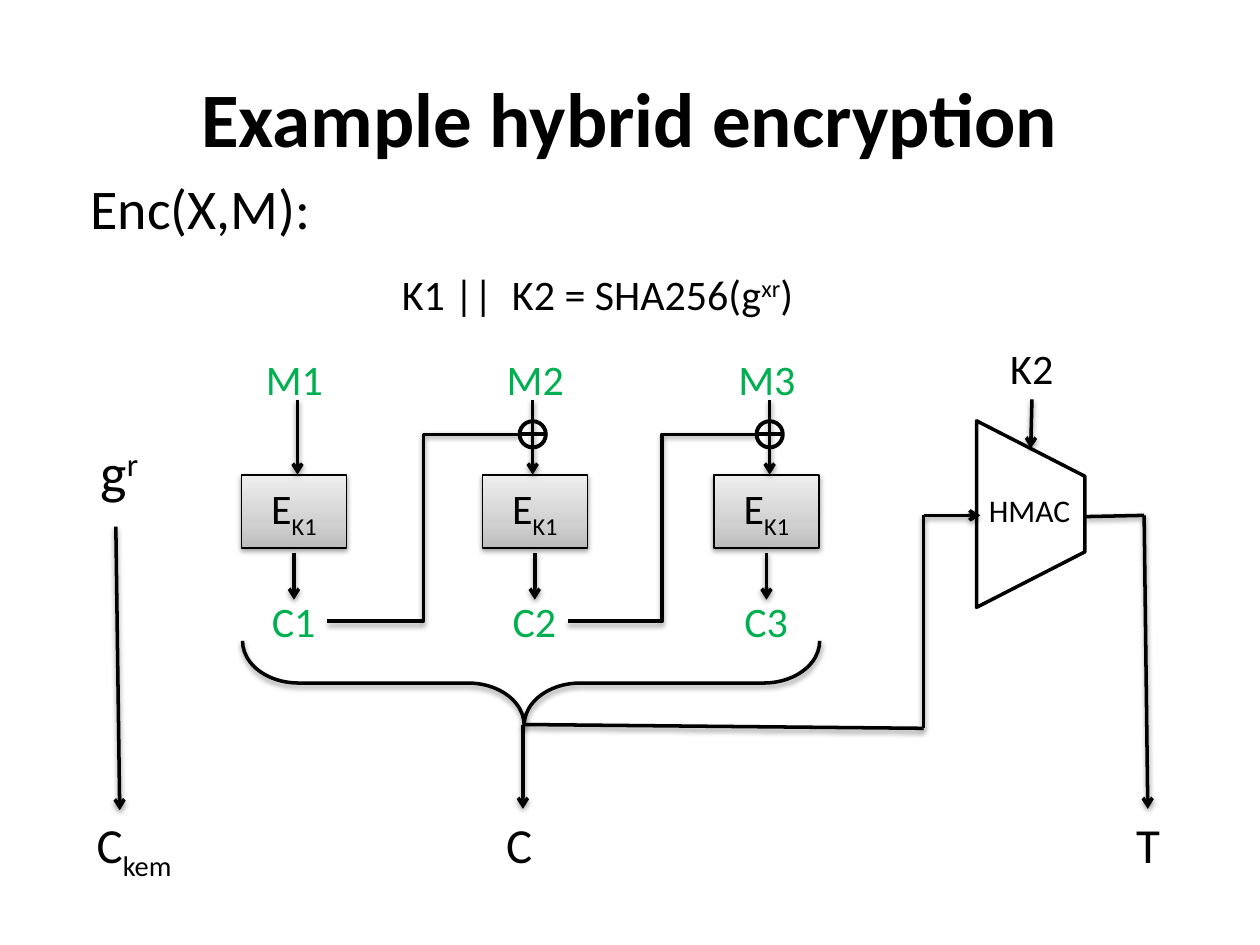
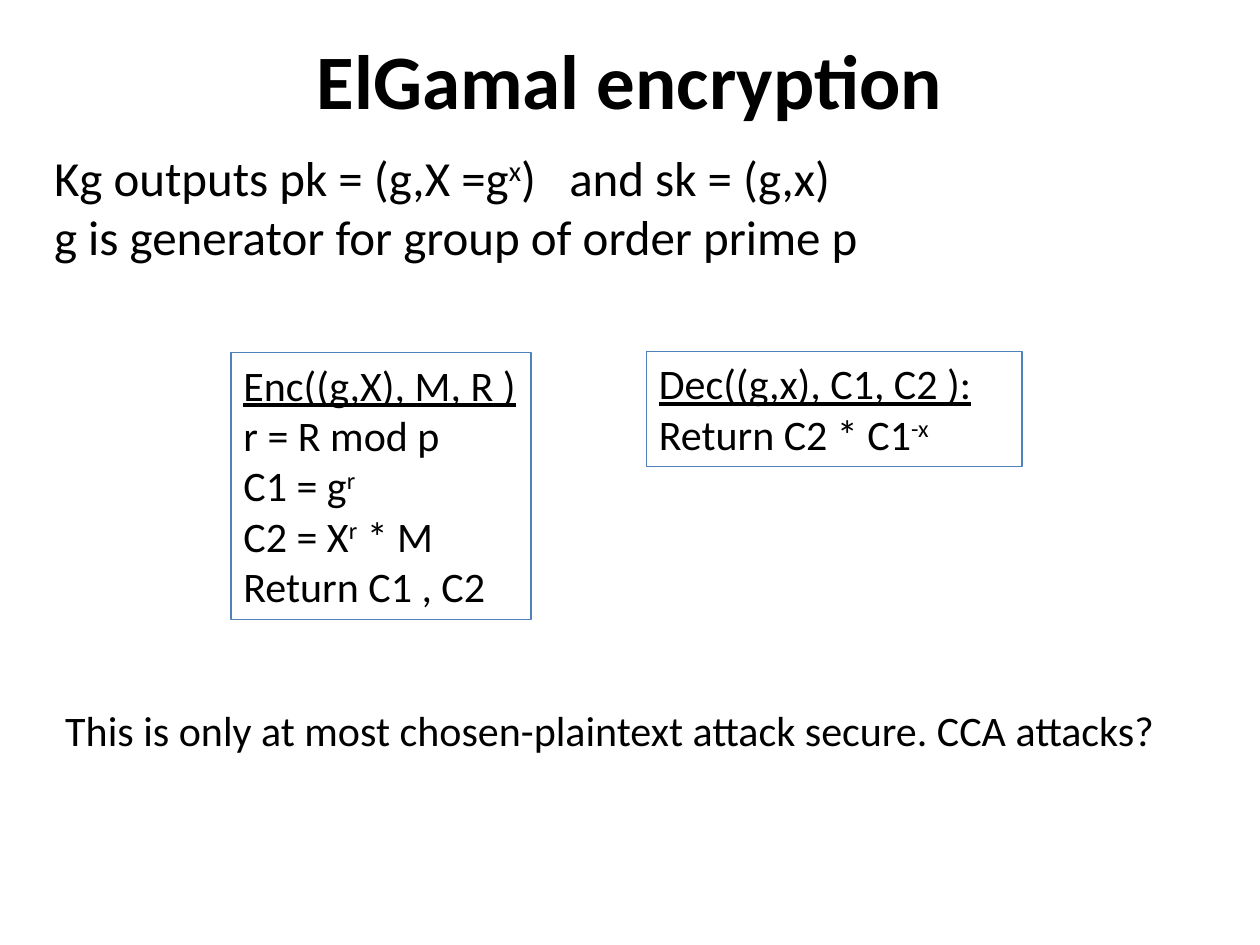
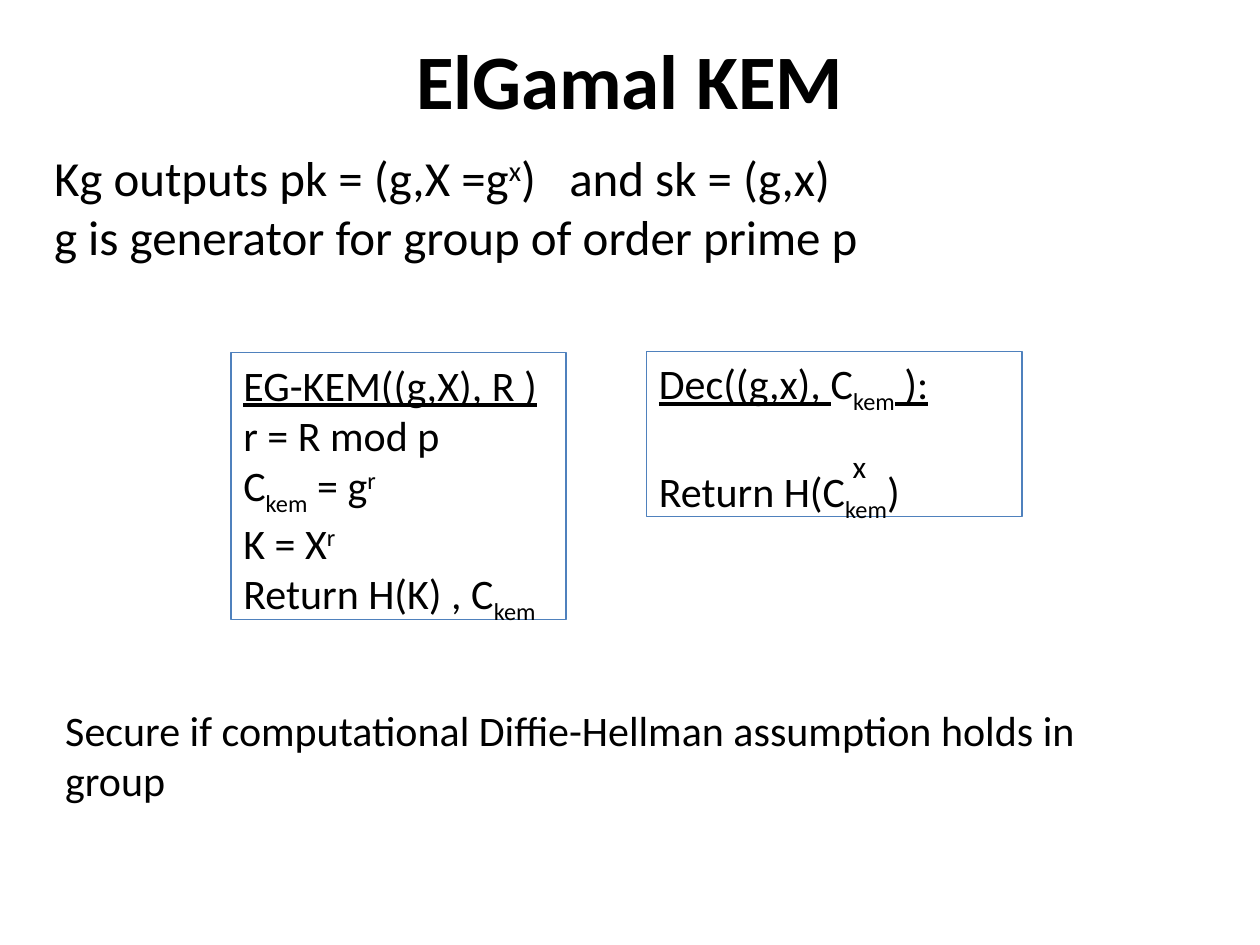
from copy import deepcopy
from dataclasses import dataclass

from lxml.etree import SubElement
from pptx import Presentation
from pptx.dml.color import RGBColor
from pptx.enum.shapes import MSO_CONNECTOR, MSO_SHAPE
from pptx.enum.text import MSO_ANCHOR, MSO_AUTO_SIZE, PP_ALIGN
from pptx.oxml.ns import qn
from pptx.util import Pt


@dataclass(frozen=True)
class Theme:
    font: str = "Calibri"
    black: str = "000000"
    white: str = "FFFFFF"
    green: str = "00B050"
    frame: str = "4F81BD"
    cipher_stops: tuple = ((0, "BDBDBD"), (0.35, "D1D1D1"), (1, "EEEEEE"))
    title: int = 44
    heading: int = 32
    large: int = 28
    body: int = 24
    small: int = 18
    line: float = 2
    xor_line: float = 2.25
    thin_line: float = 0.75


THEME = Theme()


def rgb(color):
    return RGBColor.from_string(color)


def sup(text):
    return text, {"baseline": "30000"}


def sub(text):
    return text, {"baseline": "-25000"}


def underlined(text):
    return text, {"u": "sng"}


def write(tf, lines, size=THEME.body, color=THEME.black, bold=False,
          align=PP_ALIGN.LEFT, last_gap=0):
    """Fill a text frame; a line is a string or a list of strings and marked runs."""
    for i, line in enumerate(lines):
        p = tf.paragraphs[0] if i == 0 else tf.add_paragraph()
        p.alignment = align
        for piece in [line] if isinstance(line, str) else line:
            text, marks = (piece, {}) if isinstance(piece, str) else piece
            r = p.add_run()
            r.text = text
            r.font.name = THEME.font
            r.font.size = Pt(size)
            r.font.bold = bold
            r.font.color.rgb = rgb(color)
            for name, value in marks.items():
                r.font._element.set(name, value)
    if last_gap:
        p.space_before = Pt(last_gap)


def set_shadow(sp, cast):
    """Drop the theme's shadow and, if cast, put a soft one below. Call after the line is set."""
    effects = SubElement(sp._element.spPr, qn("a:effectLst"))
    if cast:
        shadow = SubElement(effects, qn("a:outerShdw"), blurRad=str(Pt(3.1)),
                            dist=str(Pt(1.6)), dir="5400000", rotWithShape="0")
        color = SubElement(shadow, qn("a:srgbClr"), val=THEME.black)
        SubElement(color, qn("a:alpha"), val="38000")


def set_line(sp, color=THEME.black, width=THEME.line):
    sp.line.color.rgb = rgb(color)
    sp.line.width = Pt(width)


def add_text(slide, box, lines, wrap=False, frame=None, **fmt):
    sp = slide.shapes.add_textbox(*map(Pt, box))
    tf = sp.text_frame
    tf.word_wrap = wrap
    tf.auto_size = MSO_AUTO_SIZE.SHAPE_TO_FIT_TEXT
    write(tf, lines, **fmt)
    if frame:
        set_line(sp, frame, THEME.thin_line)
    return sp


def add_shape(slide, kind, box, fill=None, width=THEME.line, rotation=0,
              adjustments=(), shadow=False):
    sp = slide.shapes.add_shape(kind, *map(Pt, box))
    sp.rotation = rotation
    for i, value in enumerate(adjustments):
        sp.adjustments[i] = value
    if fill:
        sp.fill.solid()
        sp.fill.fore_color.rgb = rgb(fill)
    else:
        sp.fill.background()
    set_line(sp, width=width)
    set_shadow(sp, shadow)
    return sp


def add_line(slide, start, end, kind=MSO_CONNECTOR.STRAIGHT, arrow=False,
             width=THEME.line, shadow=True):
    sp = slide.shapes.add_connector(kind, *map(Pt, (*start, *end)))
    set_line(sp, width=width)
    if arrow:
        SubElement(sp.line._get_or_add_ln(), qn("a:tailEnd"), type="arrow")
    set_shadow(sp, shadow)


def add_cipher(slide, center):
    sp = add_shape(slide, MSO_SHAPE.RECTANGLE, (center - 30, 271.4, 60, 41.8),
                   width=THEME.thin_line, shadow=True)
    sp.fill.gradient()
    sp.fill.gradient_angle = 90
    stops = sp._element.spPr.find(qn("a:gradFill")).find(qn("a:gsLst"))
    stops.insert(1, deepcopy(stops[0]))
    for stop, (position, color) in zip(sp.fill.gradient_stops, THEME.cipher_stops):
        stop.position = position
        stop.color.rgb = rgb(color)
    sp.text_frame.vertical_anchor = MSO_ANCHOR.MIDDLE
    write(sp.text_frame, [["E", sub("K1")]], align=PP_ALIGN.CENTER)


def add_xor(slide, x, y, radius=7.5):
    add_shape(slide, MSO_SHAPE.OVAL, (x - radius, y - radius, 2 * radius, 2 * radius),
              width=THEME.xor_line)
    add_line(slide, (x - radius, y), (x + radius, y), width=THEME.xor_line, shadow=False)


def add_cbc_chain(slide):
    """Three cipher blocks; each ciphertext feeds the next block's XOR."""
    xor_y, feed_y, radius = 248.2, 355, 7.5
    green = {"color": THEME.green, "align": PP_ALIGN.CENTER}
    previous = None
    for n, (center, input_x) in enumerate([(168, 170), (305.6, 304.4), (438, 439.8)], 1):
        add_cipher(slide, center)
        add_text(slide, (center - 23.5, 198.7, 47.5, 36), [f"M{n}"], **green)
        add_text(slide, (center - 20, 337, 39.6, 36), [f"C{n}"], **green)
        add_line(slide, (input_x, 228.7), (input_x, 271.2), arrow=True)
        add_line(slide, (center, 316), (center, 342.7), arrow=True)
        if previous:
            add_xor(slide, input_x, xor_y, radius)
            add_line(slide, (previous + 19, feed_y), (input_x - radius, xor_y),
                     kind=MSO_CONNECTOR.ELBOW)
        previous = center
    add_shape(slide, MSO_SHAPE.LEFT_BRACE, (279.4, 225.4, 48.2, 329.8), rotation=270,
              adjustments=(0.665, 0.488), shadow=True)


def add_hmac(slide):
    add_shape(slide, MSO_SHAPE.TRAPEZOID, (535.7, 262.8, 106.6, 61.9), fill=THEME.white,
              rotation=90, adjustments=(0.512,))
    add_text(slide, (558, 277.2, 62, 28.8), ["HMAC"], size=THEME.small)
    add_text(slide, (570.2, 192.2, 39.6, 36), ["K2"])
    add_line(slide, (589.7, 228.2), (589, 256.3), arrow=True)

    join, corner, tag_corner = (298.8, 414), (527.8, 416.2), (653.8, 294.5)
    entry = (corner[0], tag_corner[1])
    add_line(slide, corner, join)
    add_line(slide, entry, corner)
    add_line(slide, entry, (560.2, entry[1]), arrow=True)
    add_line(slide, (620.6, 295.2), tag_corner)
    add_line(slide, join, (join[0], 462.2), arrow=True)
    add_line(slide, tag_corner, (655.9, 462.2), arrow=True)


def add_slide(prs, title, top):
    slide = prs.slides.add_slide(prs.slide_layouts[5])
    sp = slide.shapes.title
    sp.left, sp.top, sp.width, sp.height = map(Pt, (36, top, 648, 90))
    sp.text_frame.vertical_anchor = MSO_ANCHOR.MIDDLE
    write(sp.text_frame, [title], size=THEME.title, bold=True, align=PP_ALIGN.CENTER)
    return slide


def add_hybrid_slide(prs):
    slide = add_slide(prs, "Example hybrid encryption", 21.6)
    add_text(slide, (44.6, 95.8, 141.8, 46), ["Enc(X,M):"], size=THEME.heading)
    add_text(slide, (222.5, 149.8, 242, 36), [["K1 ||  K2 = SHA256(g", sup("xr"), ")"]])
    add_text(slide, (50.4, 246.2, 37.4, 46), [["g", sup("r")]], size=THEME.heading)
    add_line(slide, (66.2, 301), (68.4, 463), arrow=True)
    add_cbc_chain(slide)
    add_hmac(slide)
    for x, width, output in [(48.2, 62.6, ["C", sub("kem")]), (282.2, 29.5, "C"),
                             (642.2, 28, "T")]:
        add_text(slide, (x, 462.2, width, 41), [output], size=THEME.large)


def add_scheme_slide(prs, title, enc, enc_width, dec, dec_height, note, dec_gap=0):
    slide = add_slide(prs, title, 0)
    add_text(slide, (23.8, 80.6, 481.7, 75),
             [["Kg outputs pk = (g,X =g", sup("x"), ")   and sk = (g,x)"],
              "g is generator for group of order prime p"], size=THEME.large)
    add_text(slide, (132, 201.6, enc_width, 152.6), enc, frame=THEME.frame)
    add_text(slide, (369.4, 200.9, 214.6, dec_height), dec, wrap=True,
             frame=THEME.frame, last_gap=dec_gap)
    add_text(slide, (30.2, 398.9, 650, 36), [note])
    return slide


def main():
    prs = Presentation()
    prs.slide_width, prs.slide_height = Pt(720), Pt(540)
    add_hybrid_slide(prs)
    add_scheme_slide(
        prs, "ElGamal encryption",
        enc=[[underlined("Enc((g,X), M, R )")], "r = R mod p", ["C1 = g", sup("r")],
             ["C2 = X", sup("r"), " * M"], "Return C1 , C2"],
        enc_width=171.4,
        dec=[[underlined("Dec((g,x), C1, C2 ):")], ["Return C2 * C1", sup("-x")]],
        dec_height=65.5,
        note="This is only at most chosen-plaintext attack secure. CCA attacks?")
    kem = add_scheme_slide(
        prs, "ElGamal KEM",
        enc=[[underlined("EG-KEM((g,X), R )")], "r = R mod p",
             ["C", sub("kem"), " = g", sup("r")], ["K = X", sup("r")],
             ["Return H(K) , C", sub("kem")]],
        enc_width=191.5,
        dec=[[underlined("Dec((g,x), "), "C", sub("kem"), underlined(" ):")],
             ["Return H(C", sub("kem"), ")"]],
        dec_height=94.3, dec_gap=29,
        note="Secure if computational Diffie-Hellman assumption holds in group")
    add_text(kem, (480.2, 252, 22.3, 28.8), ["x"], size=THEME.small)
    prs.save("out.pptx")


if __name__ == "__main__":
    main()
